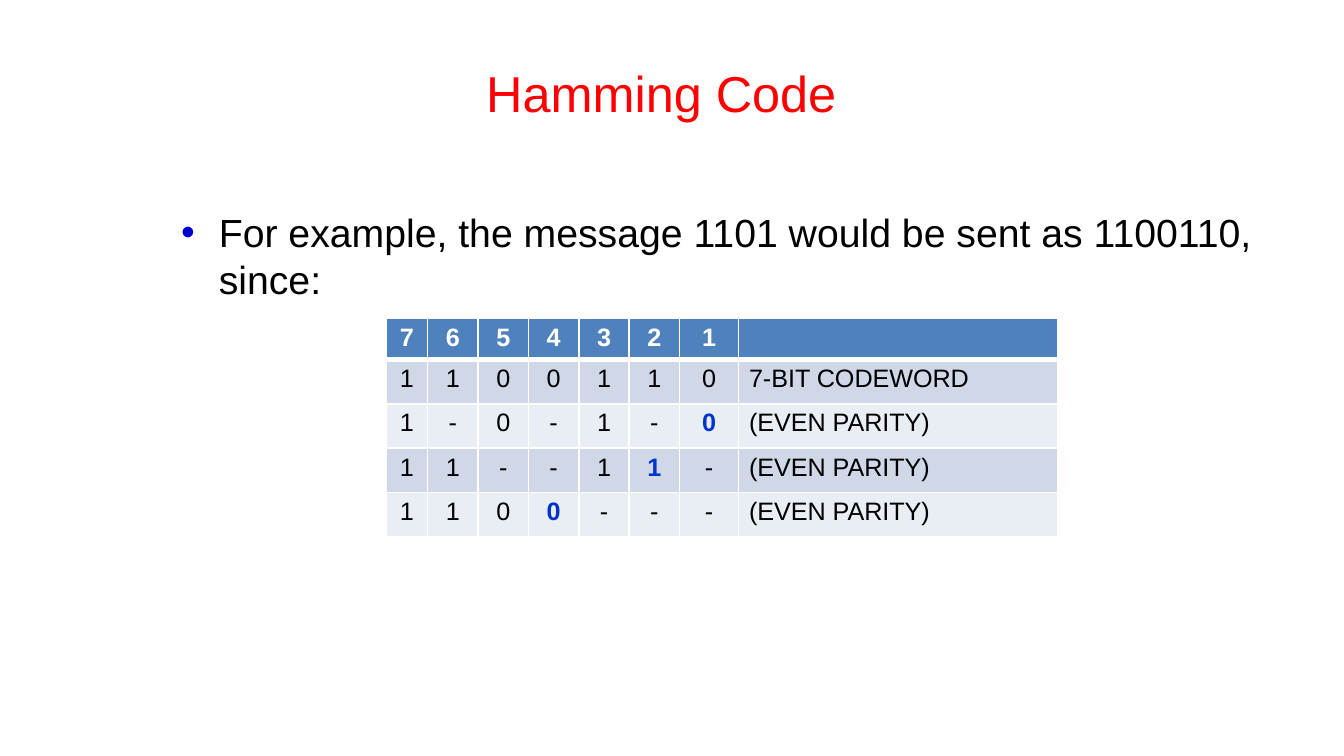
from dataclasses import dataclass

from lxml import etree
from pptx import Presentation
from pptx.dml.color import RGBColor
from pptx.enum.text import MSO_ANCHOR, PP_ALIGN
from pptx.oxml.ns import qn
from pptx.util import Inches, Pt

CENTER, LEFT = PP_ALIGN.CENTER, PP_ALIGN.LEFT
MIDDLE = MSO_ANCHOR.MIDDLE


@dataclass(frozen=True)
class Theme:
    """Hold the colours, font and type sizes of the slide."""
    font: str = "Arial"
    title: str = "FF0000"
    text: str = "000000"
    bullet: str = "0000CC"
    parity: str = "0033CC"
    white: str = "FFFFFF"
    header: str = "4F81BD"
    bands: tuple = ("D0D8E8", "E9EDF4")
    title_size: float = 27
    body_size: float = 21
    table_size: float = 13.5


THEME = Theme()
SLIDE_WIDTH = 10
SLIDE_HEIGHT = SLIDE_WIDTH * 9 / 16
POSITIONS = "7654321"
CODEWORD_ROWS = [
    ("1100110", "7-BIT CODEWORD", None),
    ("1-0-1-0", "(EVEN PARITY)", "1"),
    ("11--11-", "(EVEN PARITY)", "2"),
    ("1100---", "(EVEN PARITY)", "4"),
]


def format_text(paragraph, size, color, bold=False, align=LEFT):
    """Format a paragraph and all its runs."""
    paragraph.alignment = align
    for run in paragraph.runs:
        run.font.name = THEME.font
        run.font.size = Pt(size)
        run.font.bold = bold
        run.font.color.rgb = RGBColor.from_string(color)


def place_title(slide, box, text):
    """Move the title placeholder into the box and fill it."""
    title = slide.shapes.title
    title.left, title.top, title.width, title.height = map(Inches, box)
    title.text_frame.text = text
    title.text_frame.vertical_anchor = MIDDLE
    format_text(title.text_frame.paragraphs[0], THEME.title_size, THEME.title, align=CENTER)


def add_bullet_text(slide, box, text):
    """Add a bulleted paragraph in the box."""
    frame = slide.shapes.add_textbox(*map(Inches, box)).text_frame
    frame.word_wrap = True
    frame.text = text
    paragraph = frame.paragraphs[0]
    format_text(paragraph, THEME.body_size, THEME.text)
    paragraph.space_before = Pt(3)
    properties = paragraph._p.get_or_add_pPr()
    properties.set("marL", str(Inches(0.28)))
    properties.set("indent", str(Inches(-0.28)))
    color = etree.SubElement(properties, qn("a:buClr"))
    etree.SubElement(color, qn("a:srgbClr"), val=THEME.bullet)
    etree.SubElement(properties, qn("a:buFont"), typeface=THEME.font)
    etree.SubElement(properties, qn("a:buChar"), char="•")


def set_borders(cell, bottom):
    """Draw white cell borders, with the given bottom width in points."""
    properties = cell._tc.get_or_add_tcPr()
    for index, (side, width) in enumerate({"L": 1, "R": 1, "T": 1, "B": bottom}.items()):
        line = etree.Element(qn(f"a:ln{side}"), w=str(Pt(width)))
        fill = etree.SubElement(line, qn("a:solidFill"))
        etree.SubElement(fill, qn("a:srgbClr"), val=THEME.white)
        properties.insert(index, line)


def fill_cell(cell, text, fill, color, bold=False, align=CENTER, bottom=1):
    """Set the text, fill, margins and borders of one cell."""
    cell.margin_left = cell.margin_right = Inches(0.08)
    cell.margin_top = cell.margin_bottom = Inches(0.04)
    cell.fill.solid()
    cell.fill.fore_color.rgb = RGBColor.from_string(fill)
    cell.text_frame.text = text
    paragraph = cell.text_frame.paragraphs[0]
    format_text(paragraph, THEME.table_size, color, bold, align)
    if not text:
        etree.SubElement(paragraph._p, qn("a:endParaRPr"), sz=str(int(THEME.table_size * 100)))
    set_borders(cell, bottom)


def add_codeword_table(slide, box):
    """Add the table of bit positions and parity checks in the box."""
    column_shares = [5] + [6] * 5 + [7, 38]
    row_heights = [0.3] + [0.33] * len(CODEWORD_ROWS)
    table = slide.shapes.add_table(
        len(row_heights), len(column_shares), *map(Inches, box)
    ).table
    for column, share in zip(table.columns, column_shares):
        column.width = Inches(box[2] * share / sum(column_shares))
    for row, height in zip(table.rows, row_heights):
        row.height = Inches(height)
    for index, text in enumerate([*POSITIONS, ""]):
        fill_cell(table.cell(0, index), text, THEME.header, THEME.white, bold=True, bottom=3)
    for row_index, (bits, label, parity_position) in enumerate(CODEWORD_ROWS, 1):
        band = THEME.bands[(row_index - 1) % 2]
        for index, (position, bit) in enumerate(zip(POSITIONS, bits)):
            is_parity = position == parity_position
            color = THEME.parity if is_parity else THEME.text
            fill_cell(table.cell(row_index, index), bit, band, color, bold=is_parity)
        fill_cell(table.cell(row_index, len(POSITIONS)), label, band, THEME.text, align=LEFT)


def build_hamming_slide(presentation):
    """Add the Hamming code example slide."""
    slide = presentation.slides.add_slide(presentation.slide_layouts[5])
    place_title(slide, (0.42, 0.25, 9, 0.88), "Hamming Code")
    add_bullet_text(
        slide,
        (1.25, 1.5, 8.25, 3.53),
        "For example, the message 1101 would be sent as 1100110, since:",
    )
    add_codeword_table(slide, (2.87, 2.37, 5, 1.62))


presentation = Presentation()
presentation.slide_width = Inches(SLIDE_WIDTH)
presentation.slide_height = Inches(SLIDE_HEIGHT)
build_hamming_slide(presentation)
presentation.save("out.pptx")
